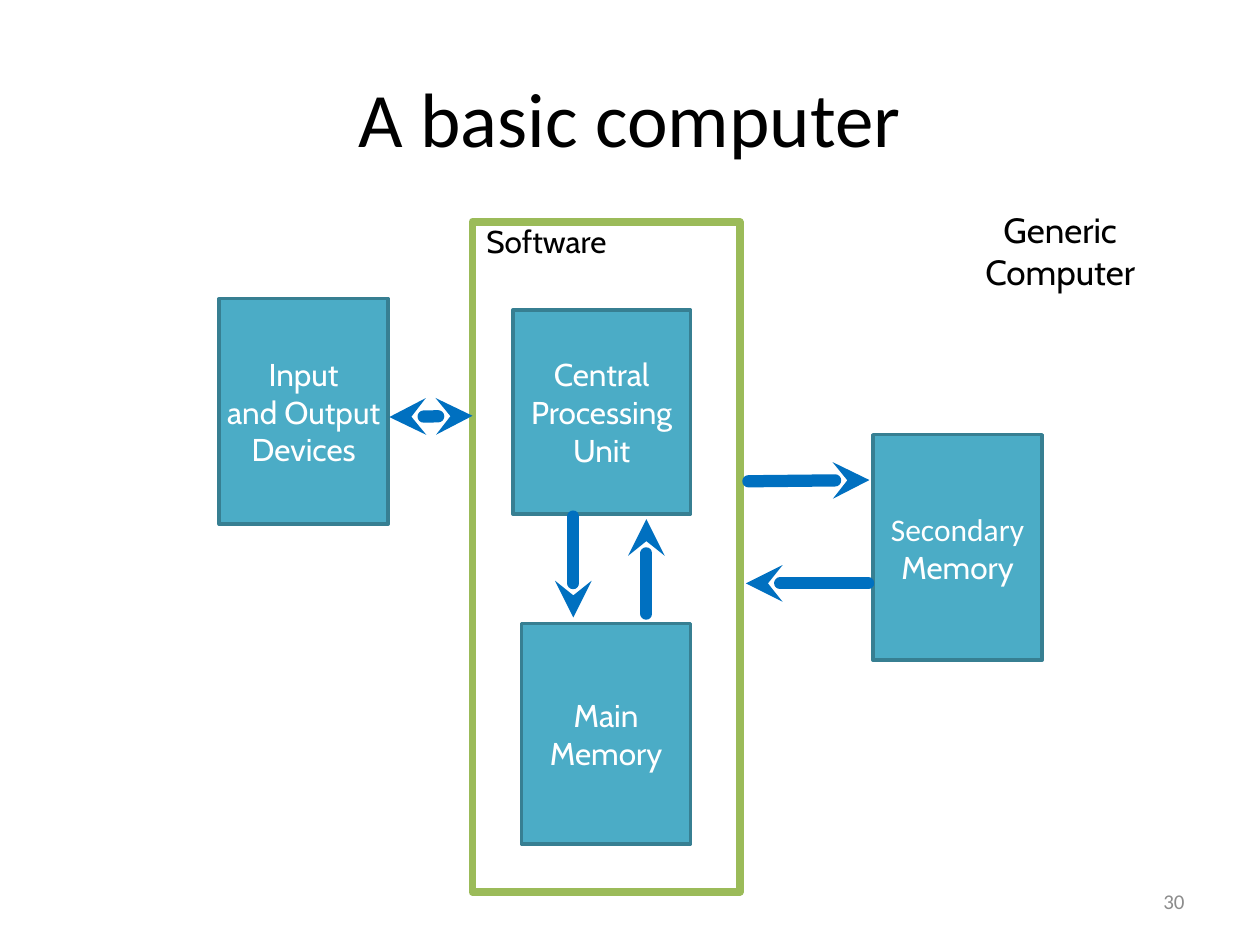
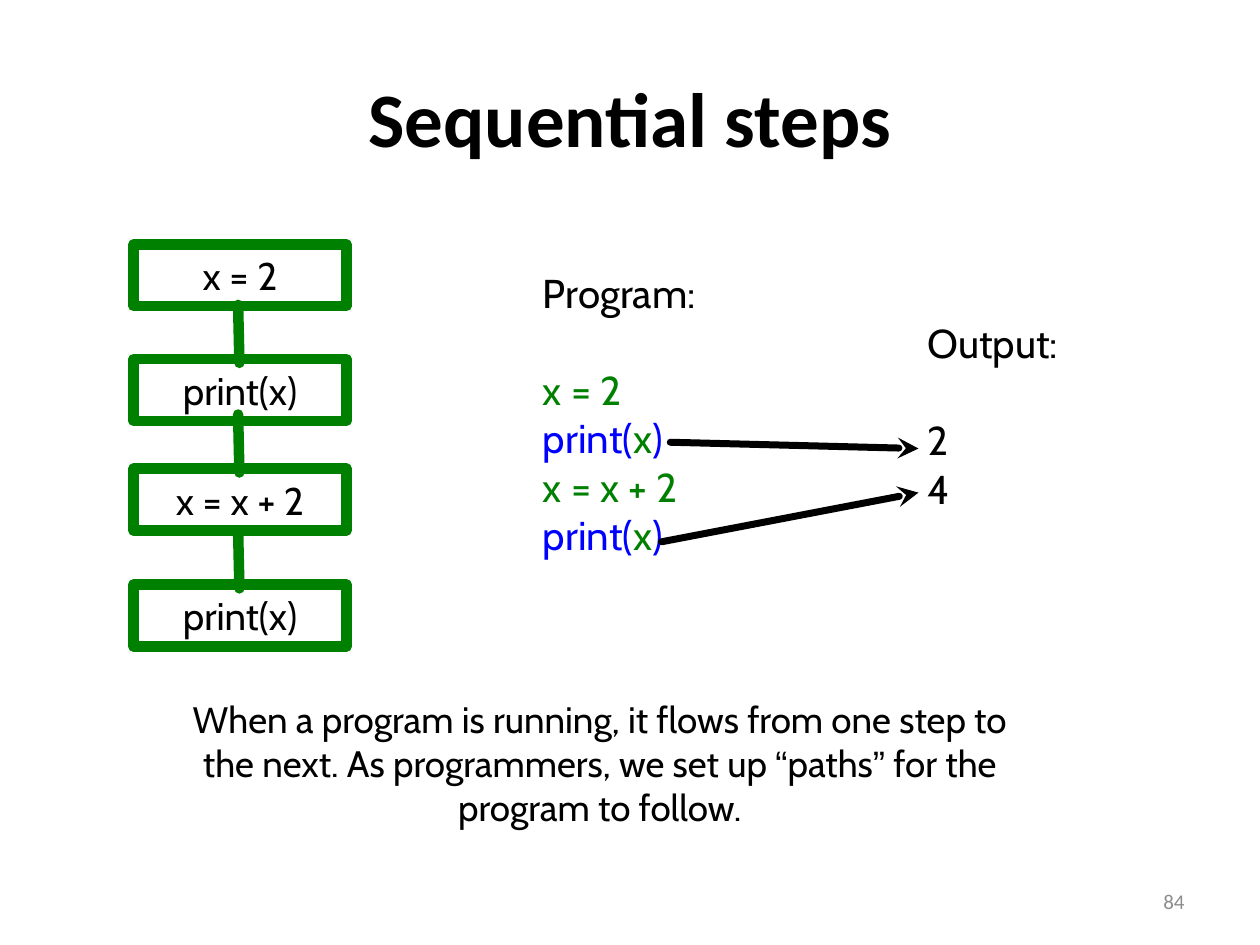
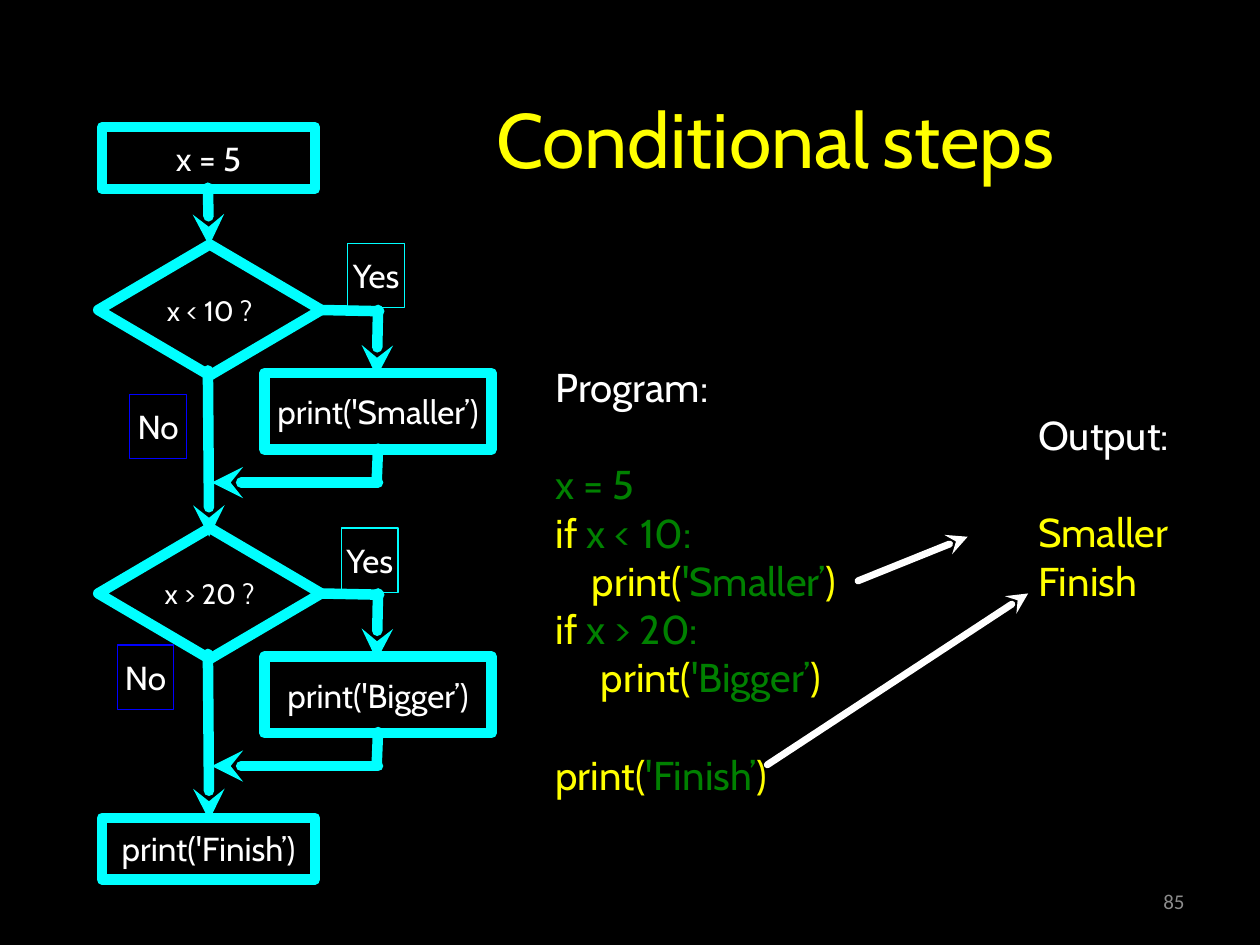
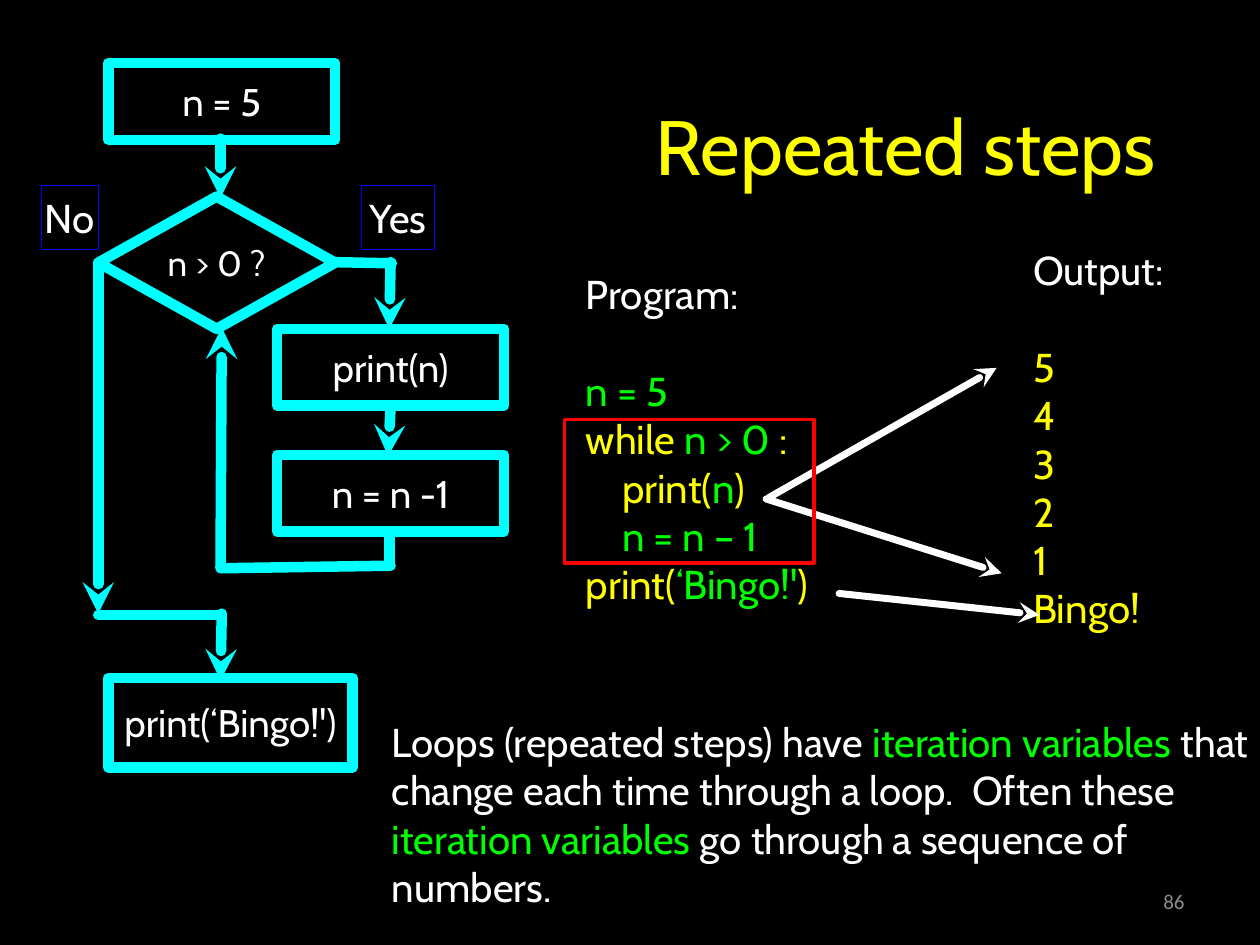
import pptx
import pptx.util
from pptx.dml.color import RGBColor
from pptx.enum.shapes import MSO_CONNECTOR, MSO_SHAPE
from pptx.enum.text import MSO_ANCHOR, PP_ALIGN
from pptx.oxml.ns import qn
from lxml import etree

PX = 9144  # 100 px to the inch

BLACK = RGBColor(0x00, 0x00, 0x00)
WHITE = RGBColor(0xFF, 0xFF, 0xFF)
GRAY = RGBColor(0x8C, 0x8C, 0x8C)
TEAL = RGBColor(0x4B, 0xAC, 0xC6)
DARK_TEAL = RGBColor(0x37, 0x7F, 0x92)
OLIVE = RGBColor(0x9B, 0xBB, 0x59)
ARROW_BLUE = RGBColor(0x00, 0x70, 0xC0)
GREEN = RGBColor(0x00, 0x80, 0x00)
LIME = RGBColor(0x00, 0xFF, 0x00)
BLUE = RGBColor(0x00, 0x00, 0xFF)
CYAN = RGBColor(0x00, 0xFF, 0xFF)
YELLOW = RGBColor(0xFF, 0xFF, 0x00)
RED = RGBColor(0xFF, 0x00, 0x00)

RECT, DIAMOND = MSO_SHAPE.RECTANGLE, MSO_SHAPE.DIAMOND
LEFT, CENTER, RIGHT = PP_ALIGN.LEFT, PP_ALIGN.CENTER, PP_ALIGN.RIGHT
GAP = 28  # points, one line of code
HEAD, BOTH = ("headEnd",), ("headEnd", "tailEnd")


def box(s, x, y, w, h, paragraphs=(), shape=None, fill=None, line=None, width=6,
        size=23, font="Cabin", color=BLACK, bold=False, align=CENTER,
        anchor=MSO_ANCHOR.MIDDLE, margin=0, gaps=()):
    """Add a text box, or a preset shape when one is given.

    A paragraph is a string or a list of (text, format overrides) runs;
    gaps holds the indices of paragraphs that follow an open line.
    """
    frame = [v * PX for v in (x, y, w, h)]
    if shape is None:
        sp = s.shapes.add_textbox(*frame)
    else:
        sp = s.shapes.add_shape(shape, *frame)
        sp.shadow.inherit = False
        sp.line.color.rgb = line
        sp.line.width = pptx.util.Pt(width)
        if fill is None:
            sp.fill.background()
        else:
            sp.fill.solid()
            sp.fill.fore_color.rgb = fill
    tf = sp.text_frame
    tf.word_wrap = True
    tf.vertical_anchor = anchor
    tf.margin_left = tf.margin_right = tf.margin_top = tf.margin_bottom = margin * PX
    for i, runs in enumerate(paragraphs):
        p = tf.add_paragraph() if i else tf.paragraphs[0]
        p.alignment = align
        if i in gaps:
            p.space_before = pptx.util.Pt(GAP)
        for text, changes in [(runs, {})] if isinstance(runs, str) else runs:
            style = dict(size=size, font=font, color=color, bold=bold) | changes
            r = p.add_run()
            r.text = text
            r.font.size = pptx.util.Pt(style["size"])
            r.font.name = style["font"]
            r.font.bold = style["bold"]
            r.font.color.rgb = style["color"]
    return sp


def connect(s, x1, y1, x2, y2, color, width, heads=()):
    c = s.shapes.add_connector(MSO_CONNECTOR.STRAIGHT, x1 * PX, y1 * PX, x2 * PX, y2 * PX)
    c.line.color.rgb = color
    c.line.width = pptx.util.Pt(width)
    ln = c.line._get_or_add_ln()
    ln.set("cap", "rnd")
    for head in heads:
        etree.SubElement(ln, qn("a:" + head), type="stealth")
    etree.SubElement(c._element.spPr, qn("a:effectLst"))


prs = pptx.Presentation()
prs.slide_width, prs.slide_height = 1000 * PX, 750 * PX

slides = []
for number, background in (("30", WHITE), ("84", WHITE), ("85", BLACK), ("86", BLACK)):
    s = prs.slides.add_slide(prs.slide_layouts[6])
    s.background.fill.solid()
    s.background.fill.fore_color.rgb = background
    box(s, 717, 695, 233, 40, [number], size=12, font="Calibri", color=GRAY,
        align=RIGHT, margin=10)
    slides.append(s)

title = dict(size=44, margin=10)
light_title = title | dict(font="Calibri")
dark_title = title | dict(color=YELLOW)
green, lime = dict(color=GREEN), dict(color=LIME)
blue, yellow, white = dict(color=BLUE), dict(color=YELLOW), dict(color=WHITE)
arial = dict(font="Arial")

# A basic computer
s = slides[0]
box(s, 50, 30, 900, 125, ["A basic computer"], **light_title)
software = box(s, 375, 176, 212, 532, ["Software"], shape=RECT, fill=WHITE, line=OLIVE,
               width=4.5, size=18, align=LEFT, anchor=MSO_ANCHOR.TOP)
software.text_frame.margin_left = 11 * PX
for x, y, w, h, lines in (
    (174, 237, 134, 179, ["Input", "and Output", "Devices"]),
    (407, 246, 141, 162, ["Central", "Processing", "Unit"]),
    (414, 495, 134, 175, ["Main", "Memory"]),
    (693, 345, 134, 179, [[("Secondary", dict(font="Calibri"))], "Memory"]),
):
    box(s, x, y, w, h, lines, shape=RECT, fill=TEAL, line=DARK_TEAL, width=2,
        size=18, color=WHITE)
for *ends, heads in (
    (375, 330, 309, 331, BOTH),
    (455, 490, 455, 410, HEAD),
    (513, 412, 513, 487, HEAD),
    (690, 381, 594, 382, HEAD),
    (592, 463, 689, 463, HEAD),
):
    connect(s, *ends, ARROW_BLUE, 7, heads)
box(s, 765, 152, 153, 94, ["Generic", "Computer"], size=20)

# Sequential steps
s = slides[1]
box(s, 50, 30, 900, 125, ["Sequential steps"], bold=True, **light_title)
print_x = [("print(", blue), ("x", green), (")", blue)]
box(s, 431, 194, 134, 268,
    ["Program:", [("x = 2", green)], print_x, [("x = x + 2", green)], print_x],
    align=LEFT, gaps=(1,))
box(s, 736, 242, 123, 175, ["Output:", "2", "4"], align=LEFT, gaps=(1,))
for y, step in ((194, "x = 2"), (285, "print(x)"), (372, "x = x + 2"), (464, "print(x)")):
    box(s, 106, y, 169, 49, [step], shape=RECT, line=GREEN, size=22)
    if y > 194:
        connect(s, 190, y + 3, 189, y - 43, GREEN, 6)
connect(s, 729, 356, 532, 351, BLACK, 4, HEAD)
connect(s, 729, 391, 525, 430, BLACK, 4, HEAD)
box(s, 135, 562, 682, 87, [[
    ("When a program is running, it flows from one step to the next. "
     "As programmers, we set up ", {}),
    ("“", arial), ("paths", {}), ("”", arial),
    (" for the program to follow.", {}),
]], size=21)

# Conditional steps
s = slides[2]
box(s, 384, 47, 537, 125, [[
    ("Conditional", {}),
    (" ", dict(size=32, font="Calibri", color=WHITE, bold=True)),
    ("steps", {}),
]], align=LEFT, **dark_title)
box(s, 824, 313, 117, 179, [[("Output:", white)], "Smaller", "Finish"],
    color=YELLOW, align=LEFT, gaps=(1,))
box(s, 441, 256, 240, 409, [
    [("Program:", white)],
    [("x = 5", green)],
    [("if ", {}), ("x < 10:", green)],
    [("    print(", {}), ("'Smaller’", green), (")", {})],
    [("if ", {}), ("x > 20:", green)],
    [("     print(", {}), ("'Bigger’", green), (")", {})],
    [("print(", {}), ("'Finish’", green), (")", {})],
], color=YELLOW, align=LEFT, gaps=(1, 6))

flow = dict(line=CYAN, size=19, color=WHITE)
box(s, 81, 101, 169, 49, ["x = 5"], shape=RECT, **flow)
connect(s, 166, 195, 165, 149, CYAN, 6, HEAD)
for dy, test, action in ((0, "x < 10 ?", "print('Smaller’)"),
                         (225, "x > 20 ?", "print('Bigger’)")):
    box(s, 78, 194 + dy, 177, 104, [test], shape=DIAMOND, **flow | dict(size=16))
    box(s, 210, 296 + dy, 180, 61, [action], shape=RECT, **flow)
    for x1, y1, x2, y2, heads in (
        (166, 426, 165, 294, HEAD),
        (301, 247, 253, 246, ()),
        (299, 299, 300, 246, HEAD),
        (300, 356, 299, 382, ()),
        (168, 383, 300, 383, HEAD),
    ):
        connect(s, x1, y1 + dy, x2, y2 + dy, CYAN, 6, heads)
box(s, 81, 649, 169, 49, ["print('Finish’)"], shape=RECT, **flow)
for x, y, answer, outline in ((276, 193, "Yes", CYAN), (93, 512, "No", BLUE),
                              (103, 313, "No", BLUE), (271, 419, "Yes", CYAN)):
    box(s, x, y, 45, 51, [answer], shape=RECT, **flow | dict(line=outline, width=0.75))
connect(s, 768, 426, 681, 461, WHITE, 4, HEAD)
connect(s, 816, 471, 609, 607, WHITE, 4, HEAD)

# Repeated steps
s = slides[3]
box(s, 448, 20, 542, 189, ["Repeated steps"], **dark_title)
box(s, 820, 173, 123, 350, [[("Output:", white)], "5", "4", "3", "2", "1", "Bingo!"],
    color=YELLOW, align=LEFT, gaps=(1,))
box(s, 465, 189, 226, 318, [
    [("Program:", white)],
    [("n = 5", lime)],
    [("while", {}), (" n > 0", lime), (" :", {})],
    [("    print(", {}), ("n", lime), (")", {})],
    [("    n = n – 1", lime)],
    [("print(", {}), ("‘Bingo!'", lime), (")", {})],
], color=YELLOW, align=LEFT, gaps=(1,))

flow = flow | dict(size=22)
box(s, 78, 156, 188, 105, ["n > 0 ?"], shape=DIAMOND, **flow | dict(size=20))
for x, y, w, h, step in (
    (86, 50, 180, 61, "n = 5"),
    (220, 261, 180, 61, "print(n)"),
    (220, 361, 180, 61, "n = n -1"),
    (86, 538, 194, 71, "print(‘Bingo!')"),
):
    box(s, x, y, w, h, [step], shape=RECT, **flow)
for x, w, answer in ((33, 45, "No"), (287, 58, "Yes")):
    box(s, x, 147, w, 51, [answer], shape=RECT,
        **flow | dict(line=BLUE, width=0.75, size=23))
for *ends, heads in (
    (175, 157, 175, 110, HEAD),
    (176, 260, 175, 451, HEAD),
    (311, 209, 263, 208, ()),
    (309, 261, 310, 208, HEAD),
    (308, 362, 310, 323, HEAD),
    (309, 423, 309, 448, ()),
    (176, 451, 310, 449, ()),
    (78, 487, 78, 209, HEAD),
    (78, 488, 175, 488, ()),
    (175, 540, 176, 487, HEAD),
):
    connect(s, *ends, CYAN, 6, heads)
for ends in ((791, 292, 610, 395), (795, 455, 608, 396), (825, 488, 666, 471)):
    connect(s, *ends, WHITE, 4, HEAD)
box(s, 448, 333, 198, 114, shape=RECT, line=RED, width=2.25)
box(s, 311, 578, 689, 136, [[
    ("Loops (repeated steps) have ", {}),
    ("iteration variables ", lime),
    ("that change each time through a loop.  Often these ", {}),
    ("iteration variables", lime),
    (" go through a sequence of numbers.", {}),
]], color=WHITE, align=LEFT)

prs.save("out.pptx")
